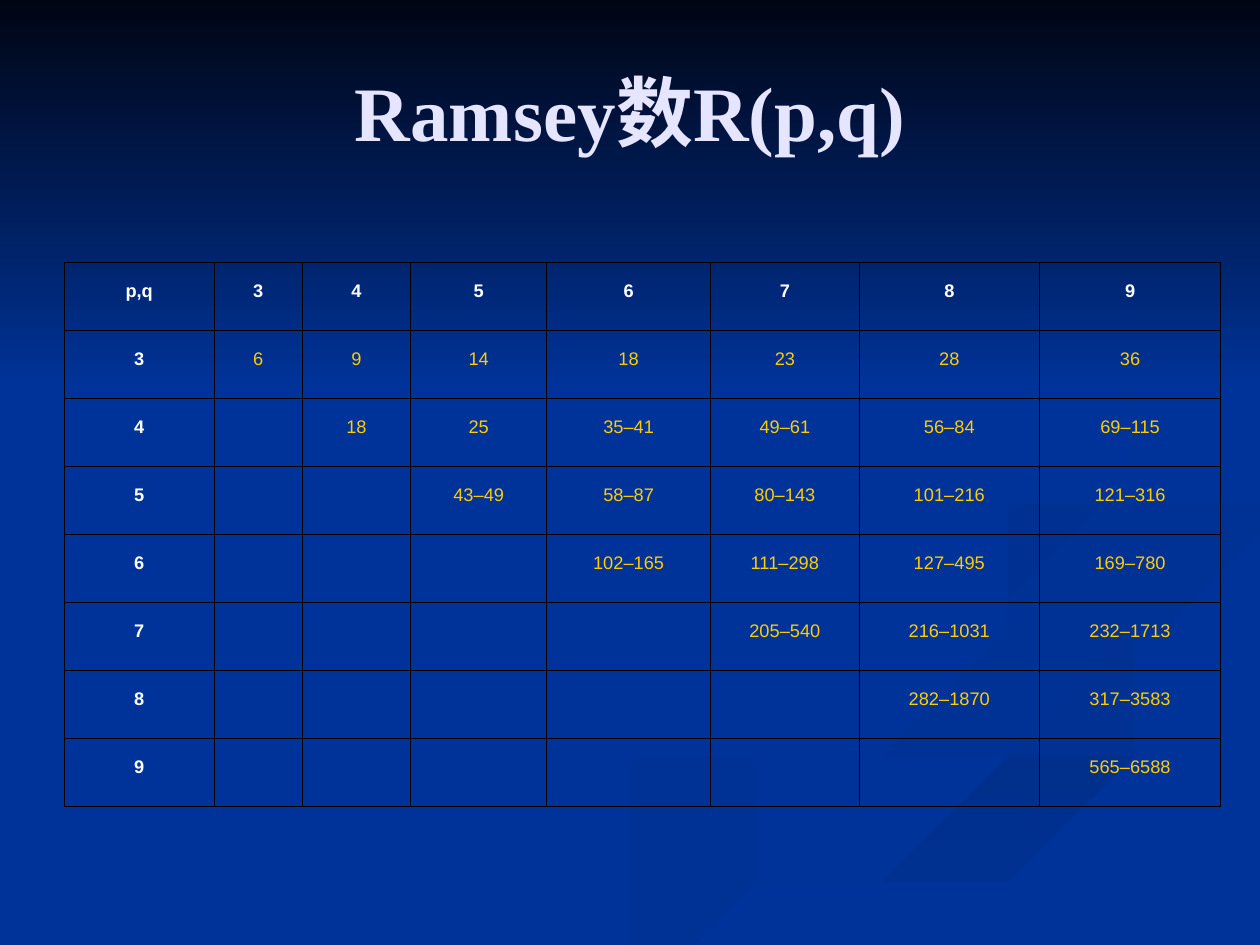
from pptx import Presentation
from pptx.dml.color import RGBColor
from pptx.enum.shapes import MSO_SHAPE
from pptx.enum.text import MSO_ANCHOR, PP_ALIGN
from pptx.oxml import parse_xml
from pptx.oxml.ns import nsdecls
from pptx.util import Inches, Pt

COLORS = {
    "blue": "003399", "night": "000514", "title": "E5E5FF", "head": "FFFFFF",
    "value": "FFCC00", "border": "000000", "tail": "003193", "band": "002F8C",
    "curl": "003091", "loop": "002F8E",
}
TITLE = "Ramsey数R(p,q)"
ORDERS = ["3", "4", "5", "6", "7", "8", "9"]
BOUNDS = [
    "6 9 14 18 23 28 36",
    "18 25 35–41 49–61 56–84 69–115",
    "43–49 58–87 80–143 101–216 121–316",
    "102–165 111–298 127–495 169–780",
    "205–540 216–1031 232–1713",
    "282–1870 317–3583",
    "565–6588",
]
COL_WIDTHS = [1.19, 0.7, 0.86, 1.08, 1.3, 1.18, 1.43, 1.44]
ROW_HEIGHT = 0.54

SWOOSHES = [
    ("blue", "tail", 0, [
        (5.75, 4.59), (5.81, 4.84), (6.54, 5.13), (7.52, 5.43), (7.86, 5.66),
        (7.39, 5.98), (5.39, 6.49), (3, 7.49), (3.61, 7.49), (5.64, 6.65),
        (7.56, 6.14), (8, 5.81), (7.67, 5.47), (6.42, 5.07)]),
    ("blue", "tail", 45, [
        (7.24, 4.64), (7.46, 5), (8.38, 5.36), (9.07, 5.62), (8.94, 6.05),
        (9.32, 5.89), (9.3, 5.53), (8.3, 5.19), (7.45, 4.9)]),
    ("band", "blue", 90, [
        (5.03, 7.49), (5.71, 7.49), (7.22, 6.82), (9.98, 6.09), (9.98, 5.81),
        (8.31, 6.29), (6.62, 6.81)]),
    ("blue", "blue", 0, [
        (7.25, 4.64), (7.93, 5.09), (9.05, 5.4), (9.42, 5.79), (7.8, 6.34),
        (4.77, 7.49), (5.19, 7.47), (7.65, 6.47), (9.99, 5.81), (9.99, 5.38),
        (8.32, 4.98), (7.82, 4.6), (8.65, 4.24), (9.99, 4.02), (9.99, 3.87),
        (7.88, 4.22)]),
    ("curl", "blue", 45, [
        (7.81, 4.6), (8.26, 4.96), (8.05, 4.72), (8.43, 4.48), (9.98, 4.2),
        (9.98, 4.02), (8.35, 4.3)]),
    ("loop", "blue", 45, [
        (7.62, 2.33), (8.46, 2.79), (8.89, 3.35), (8.42, 3.78), (6.49, 4.2),
        (5.77, 4.62), (6.22, 5), (5.94, 4.65), (6.83, 4.3), (8.55, 3.91),
        (8.94, 3.44), (8.54, 2.83)]),
]


def rgb(name):
    return RGBColor.from_string(COLORS[name])


def smooth_outline(points, steps=5):
    outline = []
    for i, b in enumerate(points):
        a = points[i - 1]
        c, d = (points[(i + k) % len(points)] for k in (1, 2))
        for t in (k / steps for k in range(steps)):
            outline.append(tuple(
                q + t / 2 * (r - p + t * (2 * p - 5 * q + 4 * r - u
                                          + t * (3 * (q - r) + u - p)))
                for p, q, r, u in zip(a, b, c, d)))
    return outline


def paint(sp, start, end, angle):
    sp.shadow.inherit = False
    sp.line.fill.background()
    if start == end:
        sp.fill.solid()
        sp.fill.fore_color.rgb = rgb(start)
        return
    sp.fill.gradient()
    sp.fill.gradient_angle = -angle % 360
    for stop, name in zip(sp.fill.gradient_stops, (start, end)):
        stop.color.rgb = rgb(name)


def style_run(r, font, size, color, bold):
    r.font.name = font
    r.font.size = Pt(size)
    r.font.bold = bold
    r.font.color.rgb = rgb(color)


def format_cell(cell, text, head):
    cell.vertical_anchor = MSO_ANCHOR.MIDDLE
    tcPr = cell._tc.get_or_add_tcPr()
    for side in "LRTB":
        tcPr.append(parse_xml(
            f'<a:ln{side} {nsdecls("a")} w="9525"><a:solidFill>'
            f'<a:srgbClr val="{COLORS["border"]}"/></a:solidFill></a:ln{side}>'))
    cell.fill.background()
    p = cell.text_frame.paragraphs[0]
    p.text = text
    p.alignment = PP_ALIGN.CENTER
    for r in p.runs:
        style_run(r, "Arial", 18, "head" if head else "value", head)
        r.font._element.set("baseline", "30000")


prs = Presentation()
prs.slide_width, prs.slide_height = Inches(10), Inches(7.5)
s = prs.slides.add_slide(prs.slide_layouts[5])
s.background.fill.solid()
s.background.fill.fore_color.rgb = rgb("blue")

for start, end, angle, points in SWOOSHES:
    outline = smooth_outline(points)
    fb = s.shapes.build_freeform(*outline[0], scale=Inches(1))
    fb.add_line_segments(outline[1:], close=True)
    paint(fb.convert_to_shape(), start, end, angle)
sky = s.shapes.add_shape(MSO_SHAPE.RECTANGLE, 0, 0, Inches(10), Inches(3.08))
paint(sky, "night", "blue", 90)

title = s.shapes.title
s.shapes._spTree.append(title._element)
title.left, title.top = Inches(0.33), Inches(0.25)
title.width, title.height = Inches(9.34), Inches(1.25)
tf = title.text_frame
tf.text = TITLE
tf.vertical_anchor = MSO_ANCHOR.MIDDLE
tf.paragraphs[0].alignment = PP_ALIGN.CENTER
style_run(tf.paragraphs[0].runs[0], "Times New Roman", 44, "title", True)

rows = [["p,q"] + ORDERS]
for i, (order, bounds) in enumerate(zip(ORDERS, BOUNDS)):
    rows.append([order] + [""] * i + bounds.split())
table = s.shapes.add_table(
    len(rows), len(COL_WIDTHS), Inches(0.51), Inches(2.08),
    Inches(sum(COL_WIDTHS)), Inches(ROW_HEIGHT * len(rows))).table
for col, width in zip(table.columns, COL_WIDTHS):
    col.width = Inches(width)
for i, row in enumerate(rows):
    table.rows[i].height = Inches(ROW_HEIGHT)
    for j, text in enumerate(row):
        format_cell(table.cell(i, j), text, i == 0 or j == 0)

prs.save("out.pptx")
